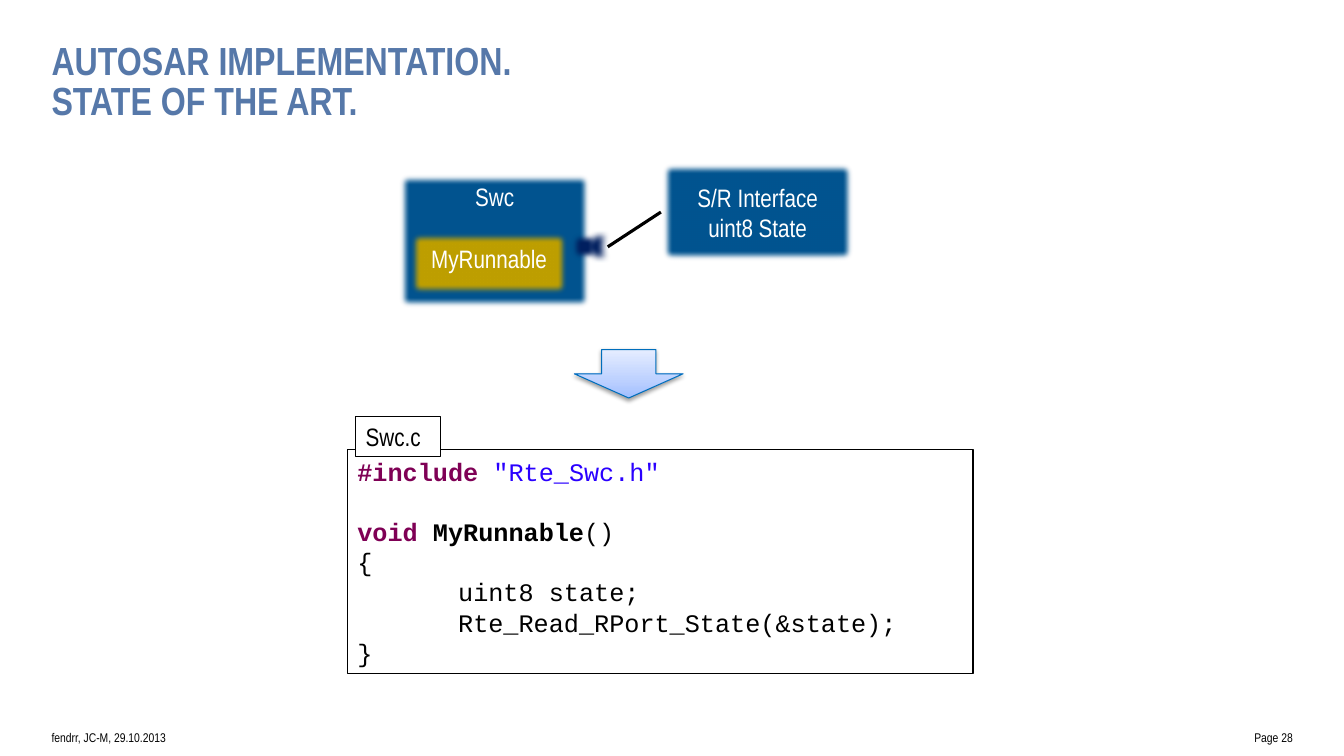
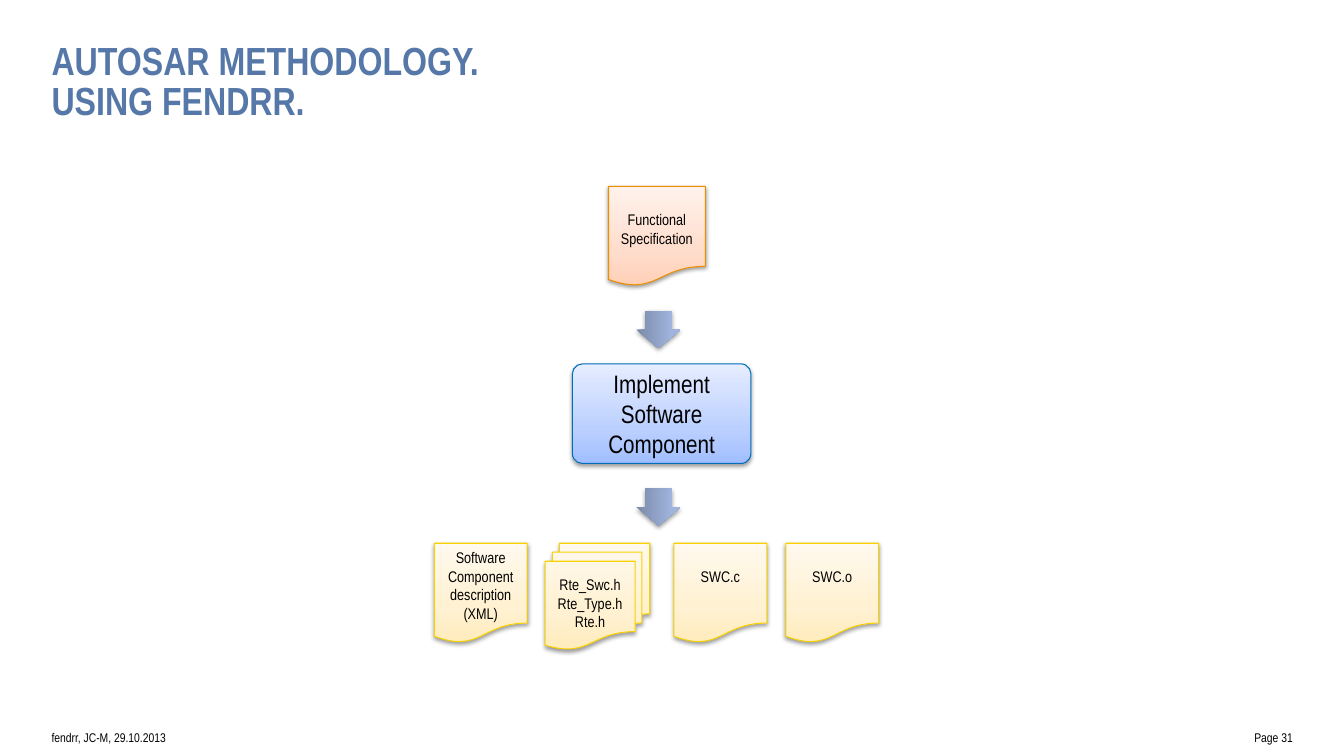
from copy import deepcopy

from pptx import Presentation
from pptx.dml.color import RGBColor
from pptx.enum.shapes import MSO_CONNECTOR, MSO_SHAPE as Preset
from pptx.enum.text import MSO_ANCHOR as Anchor, MSO_AUTO_SIZE, PP_ALIGN as Align
from pptx.oxml import parse_xml
from pptx.oxml.ns import nsdecls, qn
from pptx.util import Cm, Pt

# Shared look
hex_color = RGBColor.from_string
NARROW, MONO = "Arial Narrow", "Courier New"
BLACK, WHITE, TITLE = "000000", "FFFFFF", "5678A9"
DEEP_BLUE, NAVY, OCHRE = "005490", "002060", "BFA000"
KEYWORD, STRING = "7F0055", "2A00FF"

# Gradients: (position, colour), running from bottom to top
BLUE_FADE = [(0, "A0BEFF"), (0.35, "BCD0FF"), (1, "E5EDFF")]
YELLOW_FADE = [(0, "FFECBD"), (0.35, "FFF1D1"), (1, "FFF9EE")]
ORANGE_FADE = [(0, "FFCFB6"), (0.35, "FFDDCC"), (1, "FFF2EC")]
ARROW_FADE = [(0, "7A8AAA"), (0.8, "9FB3DC"), (1, "9EB3DF")]

SOFT_EDGE = f'<a:softEdge {nsdecls("a")} rad="63500"/>'
DROP_SHADOW = (
    f'<a:outerShdw {nsdecls("a")} blurRad="40000" dist="20000" dir="5400000" rotWithShape="0">'
    '<a:srgbClr val="000000"><a:alpha val="38000"/></a:srgbClr></a:outerShdw>'
)


def write(paragraph, text, size, color, bold=False, font=NARROW):
    """Add one formatted run."""
    run = paragraph.add_run()
    run.text = text
    run.font.name, run.font.size, run.font.bold = font, Pt(size), bold
    run.font.color.rgb = hex_color(color)


def add_block(slide, preset, box, fill=None, line=None, line_width=0.75, effect=None,
              lines=(), size=18, color=BLACK, align=Align.CENTER,
              anchor=Anchor.TOP, top=0.13):
    """Add a filled shape with its text; box and top margin are in cm."""
    block = slide.shapes.add_shape(preset, *[Cm(length) for length in box])
    if fill is None:
        block.fill.background()
    elif isinstance(fill, str):
        block.fill.solid()
        block.fill.fore_color.rgb = hex_color(fill)
    else:
        block.fill.gradient()
        block.fill.gradient_angle = 90
        stop_list = block._element.spPr.find(qn("a:gradFill")).find(qn("a:gsLst"))
        stop_list.append(deepcopy(stop_list[0]))
        for stop, (position, shade) in zip(block.fill.gradient_stops, fill):
            stop.position = position
            stop.color.rgb = hex_color(shade)
    if line:
        block.line.color.rgb = hex_color(line)
        block.line.width = Pt(line_width)
    else:
        block.line.fill.background()
    block.shadow.inherit = False
    if effect:
        block._element.spPr.find(qn("a:effectLst")).append(parse_xml(effect))

    frame = block.text_frame
    frame.word_wrap = True
    frame.vertical_anchor = anchor
    frame.margin_top = Cm(top)
    for number, text in enumerate(lines):
        paragraph = frame.add_paragraph() if number else frame.paragraphs[0]
        paragraph.alignment = align
        write(paragraph, text, size, color)
    return block


prs = Presentation()
prs.slide_width, prs.slide_height = Cm(33.88), Cm(19.05)

# Titles and footers
slides = []
for title_lines, page in [
    (["AUTOSAR IMPLEMENTATION.", "STATE OF THE ART."], "Page 28"),
    (["AUTOSAR METHODOLOGY.", "USING FENDRR."], "Page 31"),
]:
    slide = prs.slides.add_slide(prs.slide_layouts[5])
    slides.append(slide)
    title = slide.shapes.title
    title.left, title.top, title.width, title.height = Cm(1.3), Cm(1.12), Cm(31.29), Cm(2.67)
    date_footer = slide.shapes.add_textbox(Cm(1.3), Cm(18.14), Cm(11.18), Cm(0.91))
    page_footer = slide.shapes.add_textbox(Cm(24.28), Cm(18.14), Cm(8.31), Cm(0.91))
    for part, texts, size, color, align, anchor in [
        (title, title_lines, 28, TITLE, Align.LEFT, Anchor.TOP),
        (date_footer, ["fendrr, JC-M, 29.10.2013"], 9, BLACK, Align.LEFT, Anchor.MIDDLE),
        (page_footer, [page], 9, BLACK, Align.RIGHT, Anchor.MIDDLE),
    ]:
        frame = part.text_frame
        frame.word_wrap, frame.auto_size = True, MSO_AUTO_SIZE.NONE
        frame.vertical_anchor = anchor
        frame.margin_left = frame.margin_right = frame.margin_top = frame.margin_bottom = 0
        for number, text in enumerate(texts):
            paragraph = frame.add_paragraph() if number else frame.paragraphs[0]
            paragraph.alignment = align
            if part is title:
                paragraph.line_spacing = Pt(28)
            write(paragraph, text, size, color, bold=part is title)
implementation, methodology = slides

# Slide 1: component, its port and the interface
soft = dict(line=DEEP_BLUE, line_width=2, effect=SOFT_EDGE, color=WHITE)
add_block(implementation, Preset.RECTANGLE, (10.03, 4.37, 4.88, 3.43), DEEP_BLUE,
          lines=["Swc"], top=0.2, **soft)
port_tip = add_block(implementation, Preset.CHEVRON, (14.48, 5.82, 1.22, 0.79), NAVY, **soft)
port_tip.rotation = 180
add_block(implementation, Preset.RECTANGLE, (14.35, 5.82, 0.79, 0.79), NAVY, **soft)
interface = add_block(implementation, Preset.RECTANGLE, (16.66, 4.09, 4.88, 2.51), DEEP_BLUE,
                      lines=["S/R Interface", "uint8 State"], anchor=Anchor.MIDDLE, **soft)
port_link = implementation.shapes.add_connector(
    MSO_CONNECTOR.STRAIGHT, Cm(15.32), Cm(6.22), Cm(16.66), Cm(5.35))
port_link.end_connect(interface, 1)
port_link.line.color.rgb = hex_color(BLACK)
port_link.line.width = Pt(2.25)
port_link._element.spPr.append(parse_xml(f'<a:effectLst {nsdecls("a")}/>'))
add_block(implementation, Preset.RECTANGLE, (10.31, 5.82, 4.04, 1.65), OCHRE,
          lines=["MyRunnable"], top=0.3, **soft)

# Slide 1: generated source file
listing = add_block(implementation, Preset.RECTANGLE, (8.76, 11.33, 15.77, 5.64),
                    line=BLACK, anchor=Anchor.MIDDLE)
code_lines = [  # indent in cm, space before in points, runs
    (0, 0, [("#include ", KEYWORD, True), ('"Rte_Swc.h"', STRING, False)]),
    (0, 21.4, [("void ", KEYWORD, True), ("MyRunnable", BLACK, True), ("()", BLACK, False)]),
    (0, 0, [("{", BLACK, False)]),
    (2.54, 0, [("uint8 state;", BLACK, False)]),
    (2.54, 0, [("Rte_Read_RPort_State(&state);", BLACK, False)]),
    (0, 0, [("}", BLACK, False)]),
]
for number, (indent, space, runs) in enumerate(code_lines):
    frame = listing.text_frame
    paragraph = frame.add_paragraph() if number else frame.paragraphs[0]
    paragraph.alignment = Align.LEFT
    paragraph.space_before = Pt(space)
    paragraph._p.get_or_add_pPr().set("marL", str(Cm(indent)))
    for text, color, bold in runs:
        write(paragraph, text, 18, color, bold, MONO)
add_block(implementation, Preset.RECTANGLE, (8.97, 10.49, 2.13, 1.02), WHITE, BLACK,
          lines=["Swc.c"], align=Align.LEFT)
add_block(implementation, Preset.DOWN_ARROW, (14.48, 8.81, 2.74, 1.22), BLUE_FADE,
          "006EBC", effect=DROP_SHADOW)

# Slide 2: specification, work step and the arrows between the stages
add_block(methodology, Preset.FLOWCHART_DOCUMENT, (15.34, 4.7, 2.44, 2.51), ORANGE_FADE,
          "EC8E00", effect=DROP_SHADOW, lines=["Functional Specification"], size=11, top=0.6)
step = add_block(methodology, Preset.ROUNDED_RECTANGLE, (14.43, 9.17, 4.5, 2.51), BLUE_FADE,
                 "006EBC", effect=DROP_SHADOW, lines=["Implement Software Component"],
                 anchor=Anchor.MIDDLE, top=0)
step.text_frame.margin_bottom = 0
step.adjustments[0] = 0.1
for arrow_top in (7.75, 12.22):
    arrow = add_block(methodology, Preset.RIGHT_ARROW, (16.13, arrow_top, 0.94, 1.12),
                      ARROW_FADE, effect=DROP_SHADOW)
    arrow.rotation = 90
    arrow.adjustments[0], arrow.adjustments[1] = 0.6, 0.5

# Slide 2: resulting files
DOCUMENT, STACK = Preset.FLOWCHART_DOCUMENT, Preset.FLOWCHART_MULTIDOCUMENT
for preset, left, width, height, lines, anchor, top in [
    (STACK, 13.74, 2.64, 2.67, ["Rte_Swc.h", "Rte_Type.h", "Rte.h"], Anchor.MIDDLE, 0.13),
    (DOCUMENT, 10.95, 2.34, 2.51, ["Software Component description (XML)"], Anchor.TOP, 0.13),
    (DOCUMENT, 16.99, 2.34, 2.51, ["SWC.c"], Anchor.TOP, 0.6),
    (DOCUMENT, 19.81, 2.34, 2.51, ["SWC.o"], Anchor.TOP, 0.6),
]:
    add_block(methodology, preset, (left, 13.69, width, height), YELLOW_FADE, "F9D100",
              effect=DROP_SHADOW, lines=lines, size=11, anchor=anchor, top=top)

prs.save("out.pptx")
